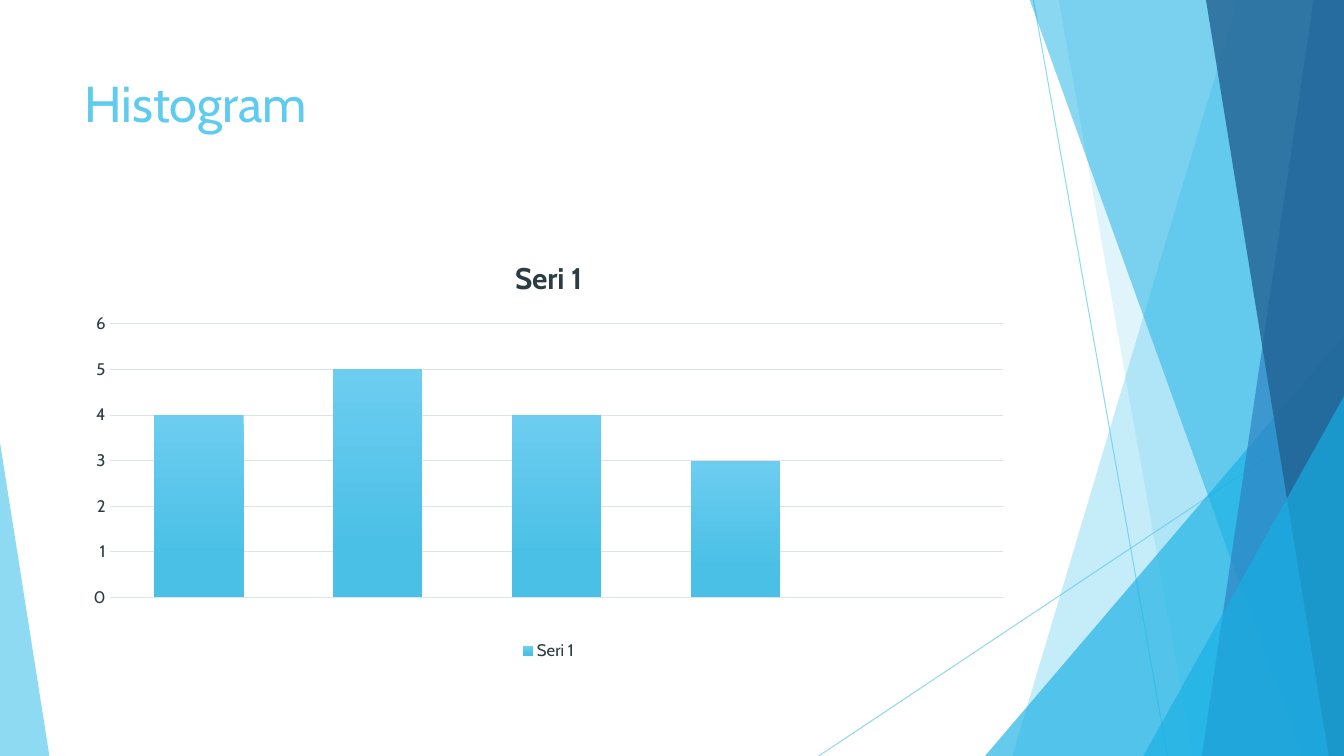
"""Builds a slide with a histogram beside a band of translucent blue facets."""
from pptx import Presentation
from pptx.chart.data import CategoryChartData
from pptx.dml.color import RGBColor
from pptx.enum.chart import XL_CHART_TYPE as ChartType, XL_LEGEND_POSITION as LegendPosition
from pptx.enum.chart import XL_TICK_MARK as TickMark
from pptx.enum.shapes import MSO_CONNECTOR as Connector, MSO_SHAPE as Shape
from pptx.enum.text import MSO_ANCHOR as Anchor
from pptx.oxml.xmlchemy import OxmlElement
from pptx.util import Inches, Pt

WIDTH, HEIGHT = 13.33, 7.5
FONT = "Cabin"
COLORS = {"sky": "5FCBEF", "cyan": "17B0E4", "blue": "2E83C3", "navy": "226292",
          "text": "2C3C43", "grid": "DBE4E7", "bar_top": "6CCDF0", "bar_base": "4BC0E6"}

TITLE = "Histogram"
SERIES = "Seri 1"
VALUES = [4, 5, 4, 3, 0]
LEFT, CONTENT_WIDTH = 0.74, 9.4
TITLE_TOP, TITLE_HEIGHT = 0.67, 1.44
CHART_TOP, CHART_HEIGHT = 2.36, 4.24

LINES = [((10.25, 0), (11.58, HEIGHT)), ((WIDTH, 4.03), (8.12, HEIGHT))]
FACETS = [
    ("band", 12.28, 10.04, "sky", 36),
    ("band", 10.5, 11.83, "sky", 20),
    ("corner", 9.77, 3.33, "cyan", 66),
    ("band", 10.21, 12.91, "cyan", 50),
    ("band", 13.03, 11.92, "blue", 70),
    ("band", 11.96, 13.18, "navy", 80),
    ("corner", 11.34, 3.93, "cyan", 66),
]
LEFT_FACET = (0, 4.39, 0.49, "sky", 70)


def rgb(name):
    return RGBColor.from_string(COLORS[name])


def set_alpha(shape, percent):
    for color in shape.element.spPr.xpath(".//a:srgbClr"):
        alpha = OxmlElement("a:alpha")
        alpha.set("val", str(percent * 1000))
        color.append(alpha)


def paint(shape, color, opacity):
    shape.shadow.inherit = False
    shape.fill.solid()
    shape.fill.fore_color.rgb = rgb(color)
    shape.line.fill.background()
    set_alpha(shape, opacity)


def add_line(slide, start, end):
    points = [Inches(value) for value in (*start, *end)]
    line = slide.shapes.add_connector(Connector.STRAIGHT, *points)
    line.line.color.rgb = rgb("sky")
    line.line.width = Pt(0.75)
    set_alpha(line, 70)
    line.element.spPr.append(OxmlElement("a:effectLst"))


def add_band(slide, top_x, bottom_x, color, opacity):
    corners = [(top_x, -0.01), (WIDTH, -0.01), (WIDTH, HEIGHT), (bottom_x, HEIGHT)]
    points = [(Inches(x), Inches(y)) for x, y in corners]
    builder = slide.shapes.build_freeform(*points[0])
    builder.add_line_segments(points[1:], close=True)
    paint(builder.convert_to_shape(), color, opacity)


def add_triangle(slide, left, top, width, apex, color, opacity):
    box = [Inches(value) for value in (left, top, width, HEIGHT - top)]
    triangle = slide.shapes.add_shape(Shape.ISOSCELES_TRIANGLE, *box)
    triangle.adjustments[0] = apex
    paint(triangle, color, opacity)


def add_facets(slide):
    for start, end in LINES:
        add_line(slide, start, end)
    for kind, first, second, color, opacity in FACETS:
        if kind == "band":
            add_band(slide, first, second, color, opacity)
        else:
            add_triangle(slide, first, second, WIDTH - first, 1, color, opacity)
    left, top, width, color, opacity = LEFT_FACET
    add_triangle(slide, left, top, width, 0, color, opacity)


def style_font(font, size, color, bold=False):
    font.name = FONT
    font.size = Pt(size)
    font.bold = bold
    font.color.rgb = rgb(color)


def add_title(slide):
    box = [Inches(value) for value in (LEFT, TITLE_TOP, CONTENT_WIDTH, TITLE_HEIGHT)]
    frame = slide.shapes.add_textbox(*box).text_frame
    frame.word_wrap = True
    frame.vertical_anchor = Anchor.TOP
    frame.text = TITLE
    style_font(frame.paragraphs[0].runs[0].font, 36, "sky")


def style_line(line):
    line.color.rgb = rgb("grid")
    line.width = Pt(0.75)


def add_histogram(slide):
    data = CategoryChartData()
    data.categories = [" "] * len(VALUES)
    data.add_series(SERIES, VALUES)
    box = [Inches(value) for value in (LEFT, CHART_TOP, CONTENT_WIDTH, CHART_HEIGHT)]
    chart = slide.shapes.add_chart(ChartType.COLUMN_CLUSTERED, *box, data).chart
    style_font(chart.font, 12, "text")

    chart.has_title = True
    chart.chart_title.include_in_layout = False
    chart.chart_title.text_frame.text = SERIES
    style_font(chart.chart_title.text_frame.paragraphs[0].runs[0].font, 21.3, "text", True)

    chart.has_legend = True
    chart.legend.position = LegendPosition.BOTTOM
    chart.legend.include_in_layout = False
    style_font(chart.legend.font, 12, "text")

    for axis in (chart.category_axis, chart.value_axis):
        axis.major_tick_mark = axis.minor_tick_mark = TickMark.NONE
        style_font(axis.tick_labels.font, 12, "text")
    style_line(chart.category_axis.format.line)
    value_axis = chart.value_axis
    value_axis.minimum_scale, value_axis.maximum_scale, value_axis.major_unit = 0, 6, 1
    value_axis.format.line.fill.background()
    style_line(value_axis.major_gridlines.format.line)

    plot = chart.plots[0]
    plot.vary_by_categories = False
    plot.gap_width, plot.overlap = 100, -24
    fill = plot.series[0].format.fill
    fill.gradient()
    fill.gradient_angle = 270
    for stop, (position, color) in zip(fill.gradient_stops, [(0, "bar_top"), (0.78, "bar_base")]):
        stop.position = position
        stop.color.rgb = rgb(color)


def main():
    presentation = Presentation()
    presentation.slide_width, presentation.slide_height = Inches(WIDTH), Inches(HEIGHT)
    slide = presentation.slides.add_slide(presentation.slide_layouts[6])
    add_facets(slide)
    add_title(slide)
    add_histogram(slide)
    presentation.save("out.pptx")


if __name__ == "__main__":
    main()
